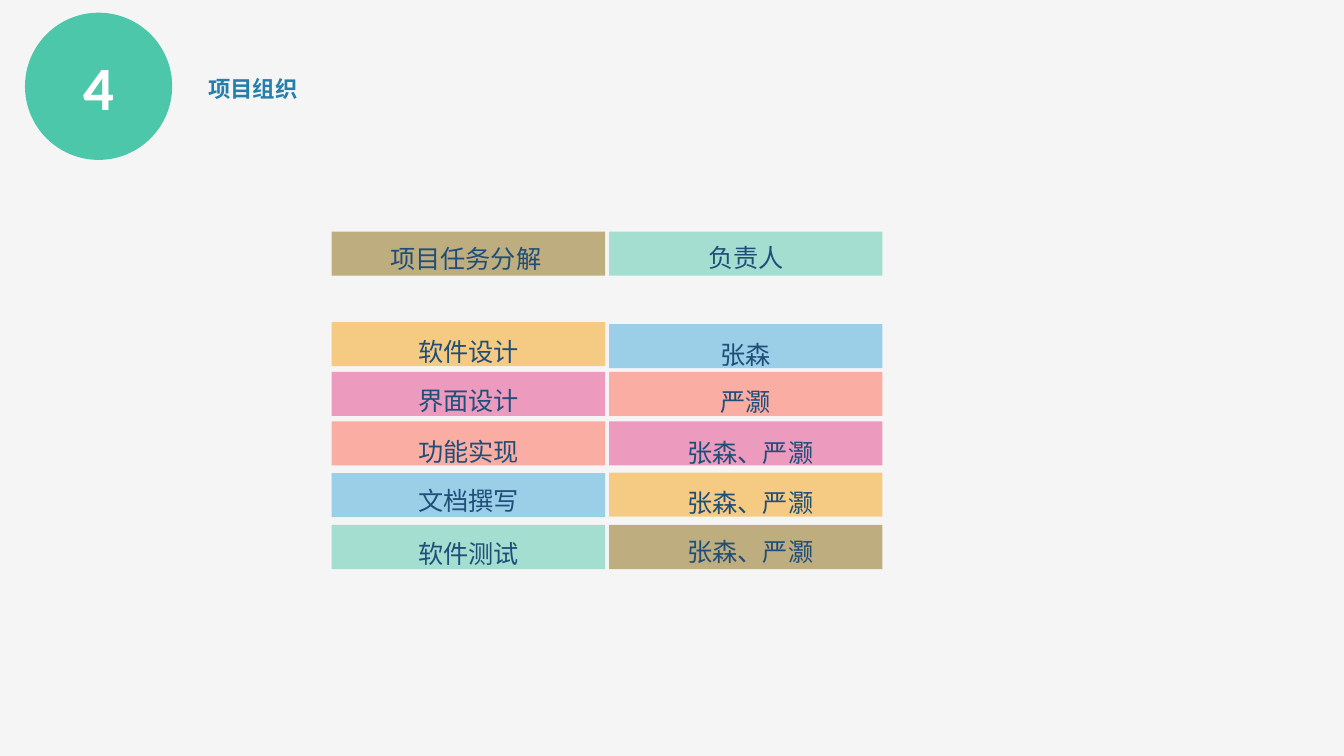
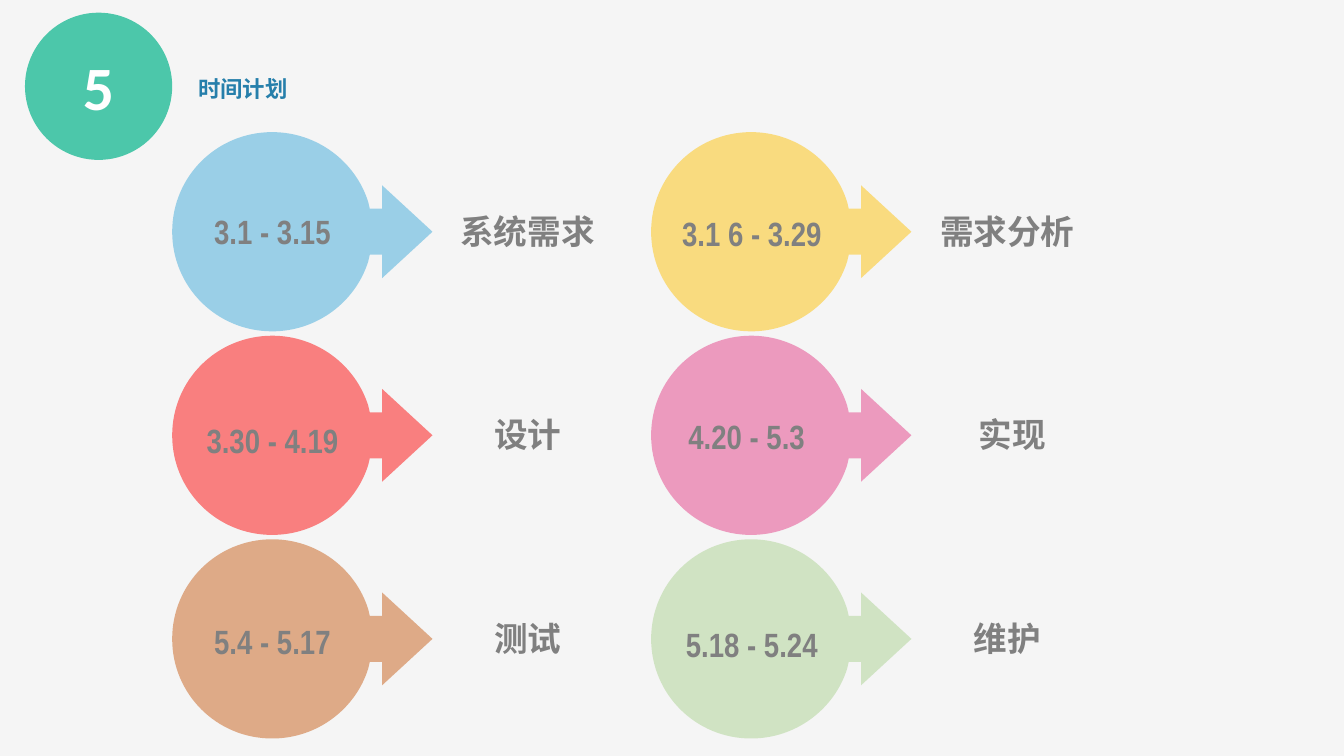
import lxml.etree
import pptx
import pptx.dml.color
import pptx.enum.shapes
import pptx.enum.text
import pptx.oxml.ns
import pptx.util

Cm = pptx.util.Cm
RGB = pptx.dml.color.RGBColor
qn = pptx.oxml.ns.qn
SHAPE = pptx.enum.shapes.MSO_SHAPE
ALIGN = pptx.enum.text.PP_ALIGN

PAPER = RGB(0xF5, 0xF5, 0xF5)
WHITE = RGB(0xFF, 0xFF, 0xFF)
TEAL = RGB(0x4C, 0xC7, 0xAA)
BLUE = RGB(0x37, 0xA7, 0xD9)
CORAL = RGB(0xFE, 0x60, 0x4A)
PINK = RGB(0xE3, 0x38, 0x84)
OLIVE = RGB(0x80, 0x60, 0x00)
ORANGE = RGB(0xF6, 0x9E, 0x08)
RED = RGB(0xFF, 0x00, 0x00)
RUST = RGB(0xC5, 0x5A, 0x11)
GOLD = RGB(0xFF, 0xC0, 0x00)
GREEN = RGB(0xA9, 0xD1, 0x8E)
TITLE = RGB(0x26, 0x7F, 0xAB)
NAVY = RGB(0x1F, 0x4E, 0x79)
GREY = RGB(0x80, 0x80, 0x80)
SANS = "Noto Sans CJK SC"


def tint(shape, color, alpha=48):
    shape.shadow.inherit = False
    shape.fill.solid()
    shape.fill.fore_color.rgb = color
    if alpha < 100:
        node = shape._element.spPr.find(".//" + qn("a:srgbClr"))
        lxml.etree.SubElement(node, qn("a:alpha"), val=str(alpha * 1000))
    shape.line.fill.background()


def write(shape, text, face, size, color, bold=True, align=ALIGN.CENTER):
    frame = shape.text_frame
    frame.word_wrap = True
    para = frame.paragraphs[0]
    para.text = text
    para.alignment = align
    font = para.font
    font.name = face
    font.size = pptx.util.Pt(size)
    font.bold = bold
    font.color.rgb = color
    style = para._p.pPr.find(qn("a:defRPr"))
    east = face if "CJK" in face else SANS
    lxml.etree.SubElement(style, qn("a:ea"), typeface=east)
    return para


deck = pptx.Presentation()
deck.slide_width = Cm(33.87)
deck.slide_height = Cm(19.05)
back = deck.slide_master.background.fill
back.solid()
back.fore_color.rgb = PAPER

pages = []
for mark, title, left in (("4", "项目组织", 5.05), ("5", "时间计划", 4.8)):
    page = deck.slides.add_slide(deck.slide_layouts[6])
    pages.append(page)
    badge = page.shapes.add_shape(SHAPE.OVAL, Cm(0.63), Cm(0.32), Cm(3.71), Cm(3.71))
    tint(badge, TEAL, 100)
    write(badge, mark, "Calibri", 44, WHITE)
    head = page.shapes.add_textbox(Cm(left), Cm(1.65), Cm(14.6), Cm(1.04))
    frame = head.text_frame
    frame.margin_left = frame.margin_right = Cm(0.2)
    frame.margin_top = frame.margin_bottom = Cm(0.1)
    para = write(head, title, SANS, 20, TITLE, align=ALIGN.LEFT)
    para._p.pPr.find(qn("a:defRPr")).set("cap", "small")
team, plan = pages

tasks = (
    (8.36, (
        ("项目任务分解", OLIVE, 5.84, 9.58, 5.63),
        ("软件设计", ORANGE, 8.12, 9.6, 7.97),
        ("界面设计", PINK, 9.37, 9.6, 9.21),
        ("功能实现", CORAL, 10.62, 9.6, 10.49),
        ("文档撰写", BLUE, 11.92, 9.6, 11.73),
        ("软件测试", TEAL, 13.23, 9.6, 13.06))),
    (15.35, (
        ("负责人", TEAL, 5.84, 16.59, 5.61),
        ("张森", BLUE, 8.17, 16.59, 8.05),
        ("严灏", CORAL, 9.37, 16.59, 9.22),
        ("张森、严灏", PINK, 10.62, 16.7, 10.52),
        ("张森、严灏", ORANGE, 11.91, 16.7, 11.78),
        ("张森、严灏", OLIVE, 13.23, 16.7, 13.02))),
)
for left, cells in tasks:
    for text, color, top, inner, line in cells:
        bar = team.shapes.add_shape(SHAPE.RECTANGLE, Cm(left), Cm(top), Cm(6.89), Cm(1.11))
        tint(bar, color)
        box = team.shapes.add_textbox(Cm(inner), Cm(line), Cm(4.42), Cm(1.42))
        align = ALIGN.LEFT if text == "项目任务分解" else ALIGN.CENTER
        para = write(box, text, "Noto Sans CJK JP", 18, NAVY, False, align)
        para.line_spacing = 1.5

half = [
    (-2.52, 0), (-2.52, -1.39), (-1.4, -2.51), (0, -2.51),
    (1.13, -2.51), (2.1, -1.77), (2.42, -0.75),
    (2.46, -0.58), (2.77, -0.58), (2.77, -1.17),
]
outline = half + [(4.04, 0)] + [(x, -y) for x, y in reversed(half)]
CURVES = (0, 3, 14, 17)

steps = (
    ("3.1 - 3.15", "系统需求", BLUE, 4.34, 5.18, 10.77),
    ("3.1 6 - 3.29", "需求分析", GOLD, 16.42, 5.24, 22.86),
    ("3.30 - 4.19", "设计", RED, 4.34, 10.45, 10.78),
    ("4.20 - 5.3", "实现", PINK, 16.29, 10.36, 22.99),
    ("5.4 - 5.17", "测试", RUST, 4.34, 15.52, 10.78),
    ("5.18 - 5.24", "维护", GREEN, 16.42, 15.6, 22.86),
)
for index, (dates, phase, color, left, top, right) in enumerate(steps):
    row, col = divmod(index, 2)
    midx = 6.86 + 12.07 * col
    midy = 5.84 + 5.13 * row
    dots = [(Cm(midx + x), Cm(midy + y)) for x, y in outline]
    pen = plan.shapes.build_freeform(*dots[0])
    pen.add_line_segments(dots[1:])
    shape = pen.convert_to_shape()
    lines = list(shape._element.iter(qn("a:lnTo")))
    for first in CURVES:
        curve = lxml.etree.Element(qn("a:cubicBezTo"))
        lines[first].addprevious(curve)
        for line in lines[first:first + 3]:
            curve.append(line[0])
            line.getparent().remove(line)
    tint(shape, color)
    for text, x, y in ((dates, left, top), (phase, right, 5.18 + 5.13 * row)):
        box = plan.shapes.add_textbox(Cm(x), Cm(y), Cm(5.05), Cm(1.27))
        write(box, text, "Arial Narrow", 24, GREY)

deck.save("out.pptx")
